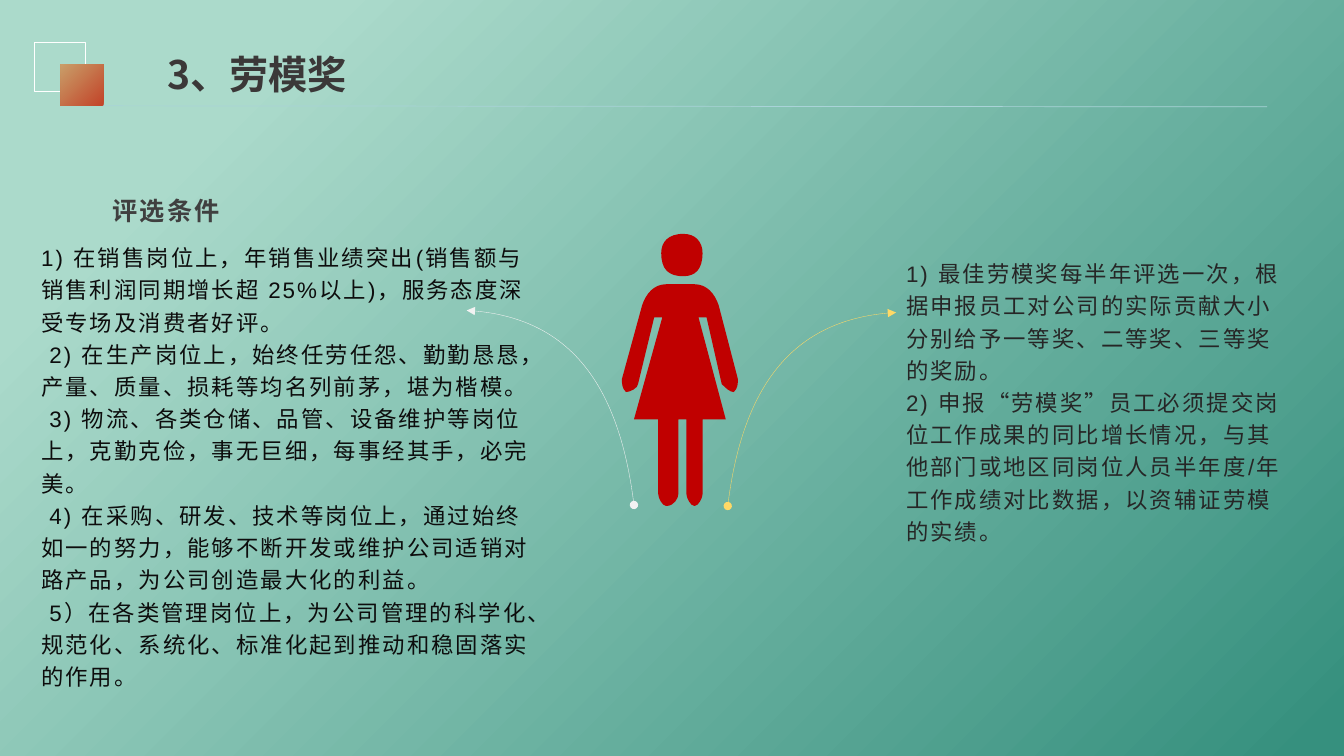
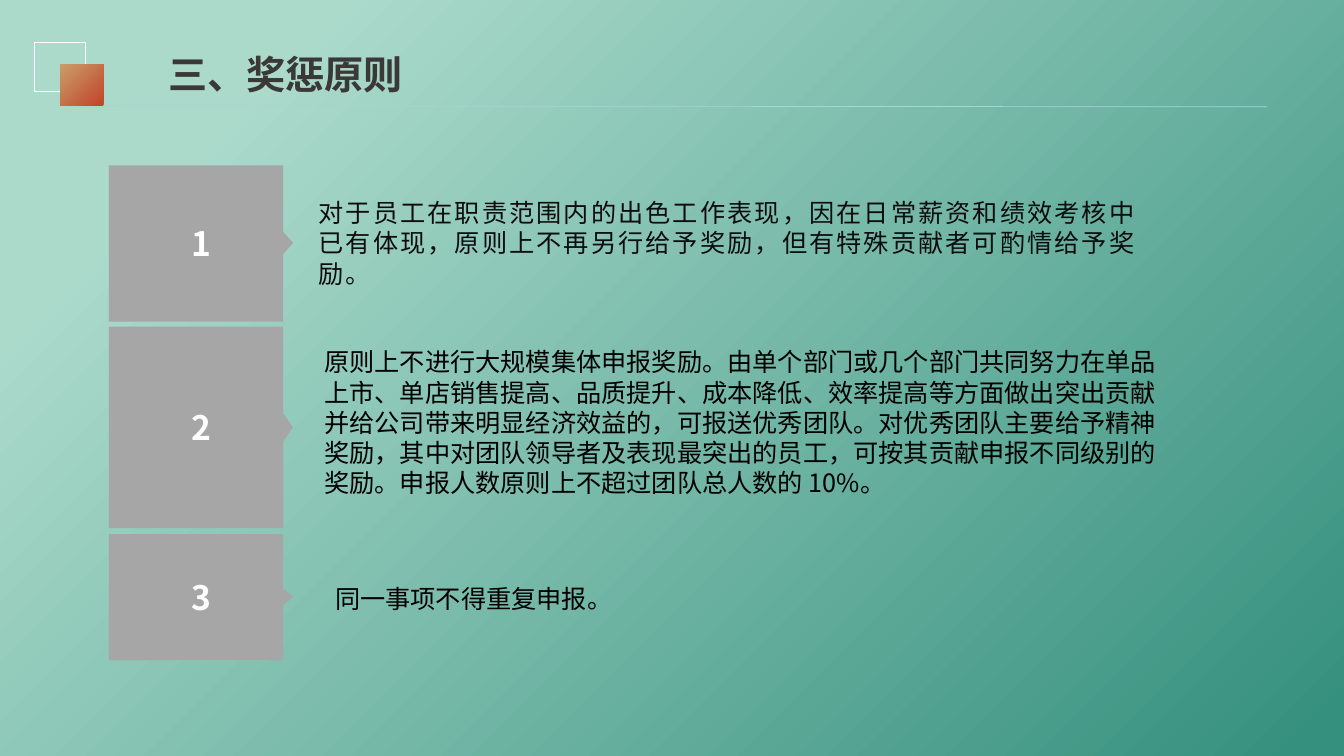
"""Build two award-policy slides: the model-worker award and the reward principles."""
from dataclasses import dataclass
from itertools import chain

from pptx import Presentation
from pptx.dml.color import RGBColor
from pptx.enum.shapes import MSO_CONNECTOR, MSO_SHAPE
from pptx.enum.text import MSO_ANCHOR, MSO_AUTO_SIZE, PP_ALIGN
from pptx.oxml.ns import qn
from pptx.oxml.xmlchemy import OxmlElement
from pptx.util import Emu, Pt

PX = 9144
SANS, ARIAL = "Noto Sans CJK SC", "Arial"
COLORS = {
    "mint": "ABDACB", "teal": "36907E", "sand": "C99E69", "rust": "C24328",
    "white": "FFFFFF", "rule": "A9D3D8", "title": "3B3838", "heading": "404040",
    "ink": "0D0D0D", "soft": "262626", "black": "000000", "red": "C00000",
    "grey": "A6A6A6", "pale": "F2F2F2", "yellow": "FFD966",
}
Point = tuple[int, int]
Segment = tuple[Point, ...]


@dataclass(frozen=True)
class Style:
    size: int
    color: str
    font: str = SANS
    bold: bool = False
    tracking: float = 0
    line: float | None = None
    after: int = 0


@dataclass(frozen=True)
class TextBlock:
    box: tuple[int, int, int, int]
    paras: tuple[str, ...]
    style: Style
    insets: tuple[int, int, int, int] = (10, 5, 10, 5)
    grow: bool = True


@dataclass(frozen=True)
class Outline:
    start: Point
    segments: tuple[Segment, ...]
    color: str


@dataclass(frozen=True)
class Principle:
    top: int
    height: int
    text: TextBlock


TITLE = Style(28, "title", bold=True)
HEADING = Style(18, "heading", ARIAL, True, 1.5, 1.2)
CRITERIA = Style(16, "ink", ARIAL, tracking=1.5, line=1.2)
RULES = Style(16, "soft", ARIAL, tracking=1.5, line=1.2)
SPACED = Style(18, "ink", tracking=1.5, after=10)
BODY = Style(18, "black")
NUMBER = Style(24, "white", bold=True)

ARCS = (
    Outline((463, 308), (((559, 313), (614, 378), (629, 501)),), "pale"),
    Outline((889, 310), (((793, 315), (737, 379), (722, 502)),), "yellow"),
)
FIGURE = (
    Outline((732, 376), (
        ((713, 303),), ((709, 291), (701, 282), (689, 282)),
        ((661, 282),), ((649, 282), (641, 291), (637, 303)),
        ((617, 376),), ((617, 381), (617, 385), (621, 389)),
        ((625, 389), (633, 385), (633, 381)),
        ((649, 315),), ((657, 315),), ((629, 416),), ((653, 416),), ((653, 490),),
        ((653, 494), (657, 502), (661, 502)), ((669, 502), (673, 494), (673, 490)),
        ((673, 416),), ((681, 416),), ((681, 490),),
        ((681, 494), (685, 502), (689, 502)), ((693, 502), (697, 494), (697, 490)),
        ((697, 416),), ((720, 416),), ((693, 315),), ((701, 315),), ((716, 381),),
        ((720, 385), (724, 389), (728, 389)), ((732, 385), (732, 381), (732, 376)),
    ), "red"),
    Outline((678, 274), (
        ((690, 274), (697, 267), (697, 251)), ((697, 240), (690, 232), (678, 232)),
        ((663, 232), (656, 240), (656, 251)), ((656, 267), (663, 274), (678, 274)),
    ), "red"),
)
AWARD_TEXTS = (
    TextBlock((889, 248, 406, 300), (
        "1) 最佳劳模奖每半年评选一次，根据申报员工对公司的实际贡献大小分别给予一等奖、二等奖、三等奖的奖励。",
        "2) 申报“劳模奖”员工必须提交岗位工作成果的同比增长情况，与其他部门或地区同岗位人员半年度/年工作成绩对比数据，以资辅证劳模的实绩。",
    ), RULES),
    TextBlock((31, 232, 509, 462), (
        "1) 在销售岗位上，年销售业绩突出(销售额与销售利润同期增长超 25%以上)，服务态度深受专场及消费者好评。",
        " 2) 在生产岗位上，始终任劳任怨、勤勤恳恳，产量、质量、损耗等均名列前茅，堪为楷模。",
        " 3) 物流、各类仓储、品管、设备维护等岗位上，克勤克俭，事无巨细，每事经其手，必完美。",
        " 4) 在采购、研发、技术等岗位上，通过始终如一的努力，能够不断开发或维护公司适销对路产品，为公司创造最大化的利益。",
        " 5）在各类管理岗位上，为公司管理的科学化、规范化、系统化、标准化起到推动和稳固落实的作用。",
    ), CRITERIA),
    TextBlock((102, 183, 144, 46), ("评选条件",), HEADING),
)
PRINCIPLES = (
    Principle(164, 155, TextBlock((305, 196, 841, 106), (
        "对于员工在职责范围内的出色工作表现，因在日常薪资和绩效考核中已有体现，原则上不再另行给予奖励，但有特殊贡献者可酌情给予奖励。",
    ), SPACED, (11, 0, 9, 0), False)),
    Principle(324, 200, TextBlock((312, 339, 854, 161), (
        "原则上不进行大规模集体申报奖励。由单个部门或几个部门共同努力在单品上市、单店销售提高、品质提升、成本降低、效率提高等方面做出突出贡献并给公司带来明显经济效益的，可报送优秀团队。对优秀团队主要给予精神奖励，其中对团队领导者及表现最突出的员工，可按其贡献申报不同级别的奖励。申报人数原则上不超过团队总人数的 10%。",
    ), BODY)),
    Principle(530, 125, TextBlock((317, 574, 434, 40), (" 同一事项不得重复申报。",), BODY)),
)


def px(*values: int) -> list[Emu]:
    return [Emu(v * PX) for v in values]


def rgb(name: str) -> RGBColor:
    return RGBColor.from_string(COLORS[name])


def corner_gradient(fill, element, stops: tuple[tuple[float, str], ...]) -> None:
    fill.gradient()
    for stop, (position, color) in zip(fill.gradient_stops, stops):
        stop.position = position
        stop.color.rgb = rgb(color)
    grad = element.find(".//" + qn("a:gradFill"))
    radial, focus = OxmlElement("a:path"), OxmlElement("a:fillToRect")
    radial.set("path", "circle")
    for side in "rb":
        focus.set(side, "100000")
    radial.append(focus)
    grad.replace(grad.find(qn("a:lin")), radial)


def add_run(p, text: str, style: Style) -> None:
    p.line_spacing = style.line
    p.space_after = Pt(style.after)
    r = p.add_run()
    r.text = text
    r.font.name = style.font
    r.font.size = Pt(style.size)
    r.font.bold = style.bold
    r.font.color.rgb = rgb(style.color)
    r_pr = r.font._element
    if style.tracking:
        r_pr.set("spc", str(round(style.tracking * 100)))
    east_asian = OxmlElement("a:ea")
    east_asian.set("typeface", SANS)
    r_pr.find(qn("a:latin")).addnext(east_asian)


def add_text(slide, block: TextBlock) -> None:
    tf = slide.shapes.add_textbox(*px(*block.box)).text_frame
    tf.word_wrap = True
    tf.auto_size = MSO_AUTO_SIZE.SHAPE_TO_FIT_TEXT if block.grow else MSO_AUTO_SIZE.NONE
    tf.margin_left, tf.margin_top, tf.margin_right, tf.margin_bottom = px(*block.insets)
    for i, text in enumerate(block.paras):
        add_run(tf.add_paragraph() if i else tf.paragraphs[0], text, block.style)


def add_outline(slide, outline: Outline, closed: bool = True):
    builder = slide.shapes.build_freeform(*outline.start, scale=PX)
    builder.add_line_segments(chain.from_iterable(outline.segments), close=closed)
    sp = builder.convert_to_shape()
    sp.shadow.inherit = False
    nodes = iter(sp.element.findall(".//" + qn("a:lnTo")))
    for segment in outline.segments:
        group = [next(nodes) for _ in segment]
        if len(group) == 3:
            curve = OxmlElement("a:cubicBezTo")
            group[0].addprevious(curve)
            for node in group:
                curve.append(node[0])
                node.getparent().remove(node)
    if closed:
        sp.fill.solid()
        sp.fill.fore_color.rgb = rgb(outline.color)
        sp.line.fill.background()
    else:
        sp.fill.background()
        sp.line.color.rgb = rgb(outline.color)
        sp.line.width = Pt(0.25)
    return sp


def add_arc(slide, arc: Outline) -> None:
    sp = add_outline(slide, arc, closed=False)
    ln = sp.element.spPr.find(qn("a:ln"))
    for tag, kind in (("a:headEnd", "triangle"), ("a:tailEnd", "oval")):
        end = OxmlElement(tag)
        end.set("type", kind)
        ln.append(end)


def add_principle(slide, number: int, item: Principle) -> None:
    left, right, tip = 108, 281, 290
    bottom, mid = item.top + item.height, item.top + item.height // 2
    notch = round(item.height * 0.068)
    tag = Outline((left, item.top), (
        ((right, item.top),), ((right, mid - notch),), ((tip, mid - 1),),
        ((tip + 1, mid), (tip + 1, mid), (tip, mid + 1)),
        ((right, mid + notch),), ((right, bottom),), ((left, bottom),),
    ), "grey")
    tf = add_outline(slide, tag).text_frame
    tf.vertical_anchor = MSO_ANCHOR.MIDDLE
    p = tf.paragraphs[0]
    p.alignment = PP_ALIGN.CENTER
    add_run(p, str(number), NUMBER)
    add_text(slide, item.text)


def add_base(prs, title: str, title_left: int):
    slide = prs.slides.add_slide(prs.slide_layouts[6])
    corner_gradient(slide.background.fill, slide.element, ((0.16, "mint"), (0.98, "teal")))
    frame = slide.shapes.add_shape(MSO_SHAPE.RECTANGLE, *px(34, 42, 51, 49))
    frame.fill.background()
    frame.line.color.rgb = rgb("white")
    frame.line.width = Pt(1)
    block = slide.shapes.add_shape(MSO_SHAPE.RECTANGLE, *px(60, 64, 43, 41))
    corner_gradient(block.fill, block.element, ((0, "sand"), (1, "rust")))
    block.line.fill.background()
    for sp in (frame, block):
        sp.shadow.inherit = False
    rule = slide.shapes.add_connector(MSO_CONNECTOR.STRAIGHT, *px(102, 105, 1257, 106))
    rule.line.color.rgb = rgb("rule")
    rule.line.width = Pt(0.5)
    rule.element.spPr.append(OxmlElement("a:effectLst"))
    add_text(slide, TextBlock((title_left, 45, 500, 57), (title,), TITLE))
    return slide


def main() -> None:
    prs = Presentation()
    prs.slide_width, prs.slide_height = Emu(12192000), Emu(6858000)

    award = add_base(prs, "3、劳模奖", 156)
    for arc in ARCS:
        add_arc(award, arc)
    for part in FIGURE:
        add_outline(award, part)
    for block in AWARD_TEXTS:
        add_text(award, block)

    principles = add_base(prs, "三、奖惩原则", 157)
    for number, item in enumerate(PRINCIPLES, 1):
        add_principle(principles, number, item)

    prs.save("out.pptx")


if __name__ == "__main__":
    main()
